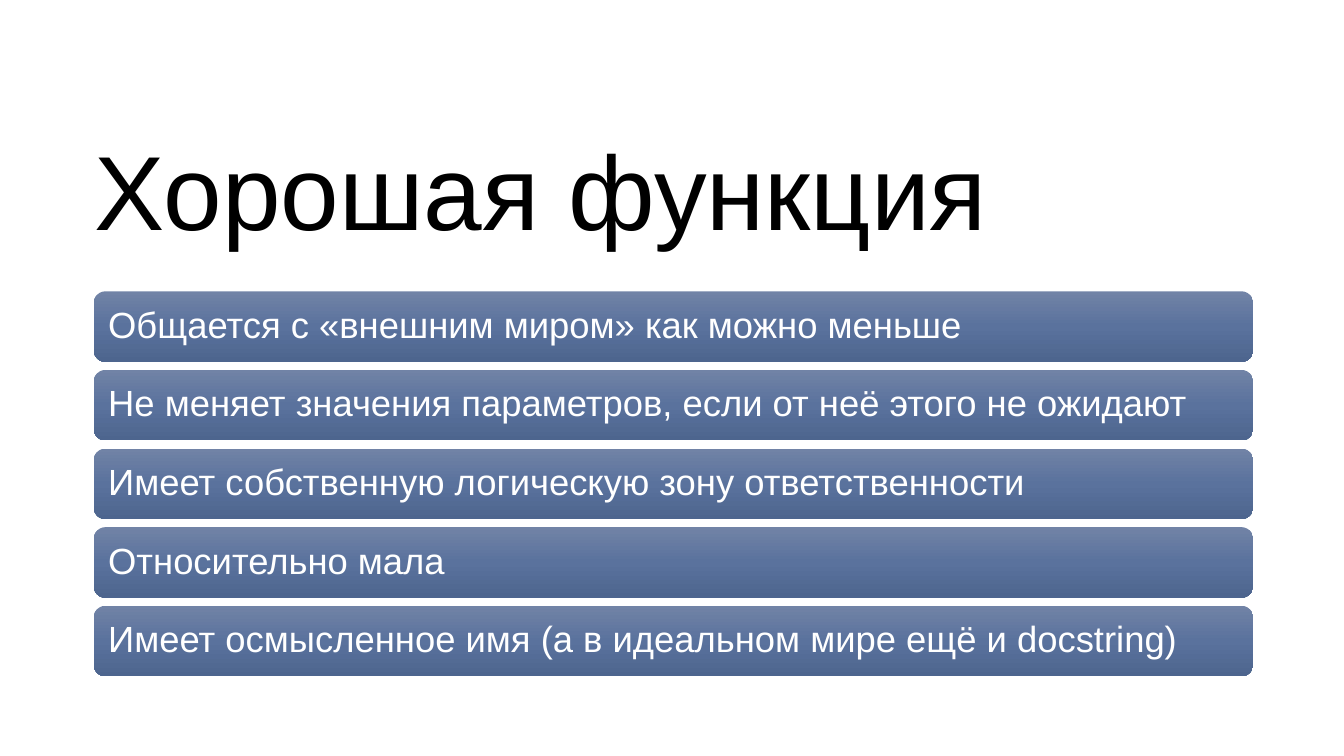
"""Build the slide listing the traits of a good function."""
import copy
import dataclasses

import pptx
import pptx.dml.color
import pptx.enum.shapes
import pptx.enum.text
import pptx.oxml.ns
import pptx.util

Inches = pptx.util.Inches
GRADIENT = ((0, "7183A6"), (0.5, "5A729D"), (1, "4D658E"))
BAR_TOP, BAR_PITCH = 2.89, 0.78
TRAITS = (
    "Общается с «внешним миром» как можно меньше",
    "Не меняет значения параметров, если от неё этого не ожидают",
    "Имеет собственную логическую зону ответственности",
    "Относительно мала",
    "Имеет осмысленное имя (а в идеальном мире ещё и docstring)",
)


@dataclasses.dataclass(frozen=True)
class Bar:
    text: str
    top: float
    left: float = 0.93
    width: float = 11.5
    height: float = 0.7


def rgb(value: str) -> pptx.dml.color.RGBColor:
    return pptx.dml.color.RGBColor.from_string(value)


def write(s, text: str, *, size: float, color: str, inset: float) -> None:
    tf = s.text_frame
    tf.word_wrap = True
    tf.vertical_anchor = pptx.enum.text.MSO_ANCHOR.MIDDLE
    tf.margin_left = tf.margin_right = Inches(inset)
    tf.margin_top = tf.margin_bottom = Inches(inset)
    p = tf.paragraphs[0]
    p.alignment = pptx.enum.text.PP_ALIGN.LEFT
    p.line_spacing = 0.9
    r = p.add_run()
    r.text = text
    r.font.name = "Arial"
    r.font.size = pptx.util.Pt(size)
    r.font.color.rgb = rgb(color)


def fill_gradient(s) -> None:
    s.fill.gradient()
    s.fill.gradient_angle = 270
    stops = s._element.spPr.find(".//" + pptx.oxml.ns.qn("a:gsLst"))
    stops.insert(1, copy.deepcopy(stops[0]))
    for stop, (position, color) in zip(s.fill.gradient_stops, GRADIENT):
        stop.position = position
        stop.color.rgb = rgb(color)


def draw_bar(sp, bar: Bar) -> None:
    s = sp.add_shape(
        pptx.enum.shapes.MSO_SHAPE.ROUNDED_RECTANGLE,
        Inches(bar.left), Inches(bar.top), Inches(bar.width), Inches(bar.height),
    )
    s.shadow.inherit = False
    s.line.fill.background()
    fill_gradient(s)
    write(s, bar.text, size=26, color="FFFFFF", inset=0.11)


def main() -> None:
    prs = pptx.Presentation()
    prs.slide_width, prs.slide_height = Inches(13.33), Inches(7.5)
    sp = prs.slides.add_slide(prs.slide_layouts[6]).shapes
    title = sp.add_textbox(Inches(0.94), Inches(1.22), Inches(11.5), Inches(1.45))
    write(title, "Хорошая функция", size=75.2, color="000000", inset=0)
    for i, trait in enumerate(TRAITS):
        draw_bar(sp, Bar(trait, BAR_TOP + i * BAR_PITCH))
    prs.save("out.pptx")


main()
